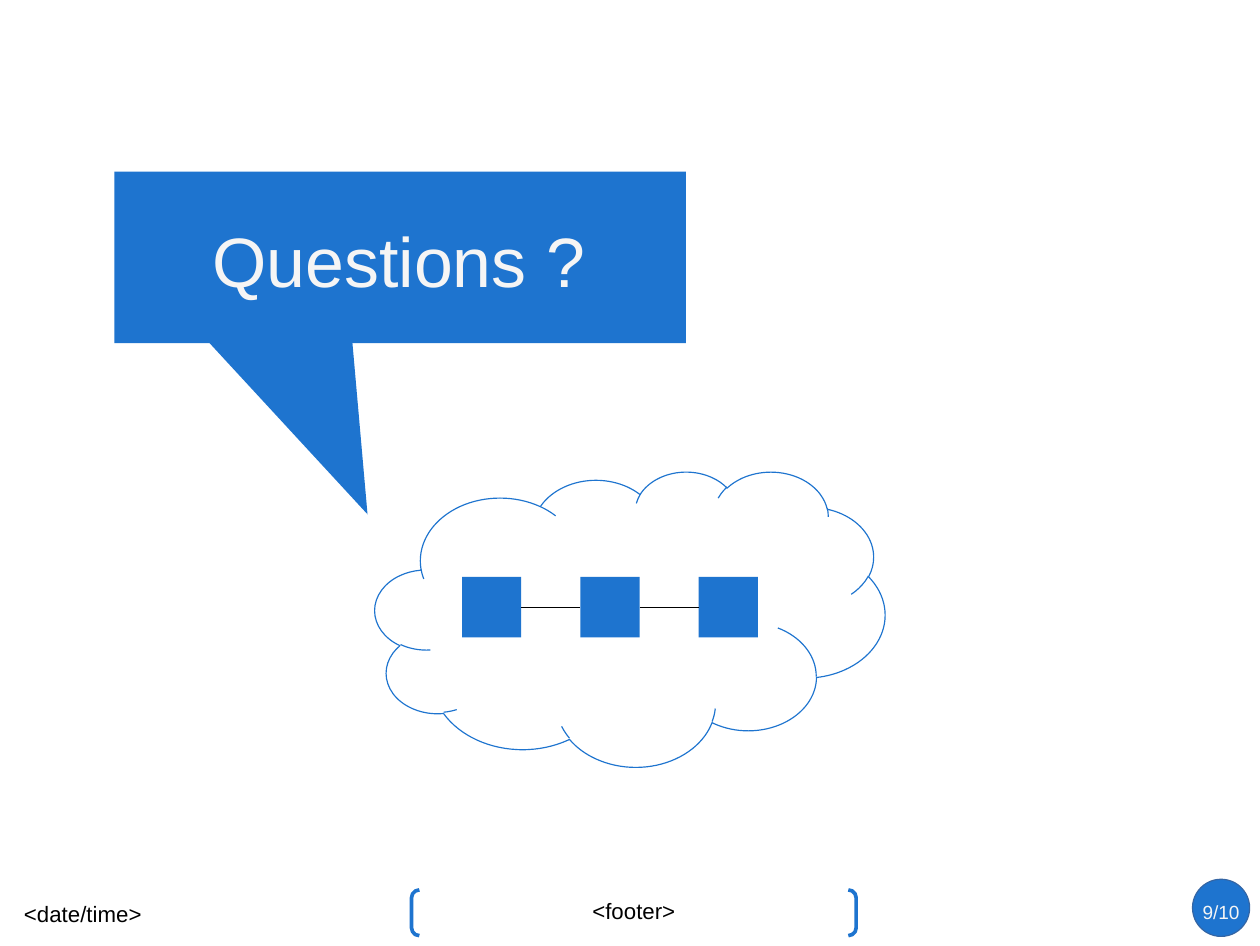
from pptx import Presentation
from pptx.dml.color import RGBColor
from pptx.enum.shapes import MSO_CONNECTOR as LINK, MSO_SHAPE as SHAPE
from pptx.enum.text import MSO_ANCHOR as ANCHOR, PP_ALIGN as ALIGN
from pptx.oxml.ns import qn
from pptx.util import Pt
from lxml import etree

BLUE, EDGE, BLACK, PALE = "1E74CF", "3465A4", "000000", "F5F5F5"
PAGE = (793.5, 595.5)

CALLOUT = (72, 108, 360, 108)
CALLOUT_TIP = (-0.057, 1.498)
PAGE_DOT = (751, 553.5, 36, 36)
FOOTER_BRACKETS = (259.2, 560.2, 280, 28.8)
CLOUD = (236.2, 296.6, 321.1, 185.8)

LABELS = [
    ("<footer>", (259.2, 560.2, 280, 26.6), 14, BLACK, ALIGN.CENTER),
    ("9/10", (743.8, 553.5, 50.4, 41), 12, PALE, ALIGN.CENTER),
    ("<date/time>", (15.1, 561.6, 123.8, 26.6), 14, BLACK, ALIGN.LEFT),
    ("Questions ?", (74.9, 115.2, 352.8, 96.5), 44, PALE, ALIGN.CENTER),
]

CHAIN_LENGTH = 3
CHAIN_LEFT, CHAIN_TOP = 291, 363.2
CHAIN_STEP = 74.5
NODE_SIZE = (37.3, 38)


def color(value):
    return RGBColor.from_string(value)


def lengths(values):
    return [Pt(value) for value in values]


def add_figure(kind, box, fill=None, line=None, width=0):
    figure = slide.shapes.add_shape(kind, *lengths(box))
    figure.shadow.inherit = False
    if fill:
        figure.fill.solid()
        figure.fill.fore_color.rgb = color(fill)
    else:
        figure.fill.background()
    if line:
        figure.line.color.rgb = color(line)
        figure.line.width = Pt(width)
    else:
        figure.line.fill.background()
    return figure


def add_label(text, box, size, ink, align):
    frame = slide.shapes.add_textbox(*lengths(box)).text_frame
    frame.word_wrap = True
    frame.vertical_anchor = ANCHOR.MIDDLE
    frame.margin_left = frame.margin_right = 0
    frame.margin_top = frame.margin_bottom = 0
    frame.text = text
    paragraph = frame.paragraphs[0]
    paragraph.alignment = align
    font = paragraph.runs[0].font
    font.name = "Arial"
    font.size = Pt(size)
    font.color.rgb = color(ink)


def link_nodes(start, end):
    link = slide.shapes.add_connector(LINK.STRAIGHT, 0, 0, 0, 0)
    link.begin_connect(start, 3)
    link.end_connect(end, 1)
    link.line.color.rgb = color(BLACK)
    link.line.width = Pt(0.79)
    etree.SubElement(link._element.spPr, qn("a:effectLst"))


deck = Presentation()
deck.slide_width, deck.slide_height = lengths(PAGE)
slide = deck.slides.add_slide(deck.slide_layouts[6])

callout = add_figure(SHAPE.RECTANGULAR_CALLOUT, CALLOUT, BLUE)
for index, offset in enumerate(CALLOUT_TIP):
    callout.adjustments[index] = offset

add_figure(SHAPE.OVAL, PAGE_DOT, BLUE, EDGE)
brackets = add_figure(SHAPE.DOUBLE_BRACKET, FOOTER_BRACKETS, line=BLUE, width=2.3)
brackets.adjustments[0] = 0.171

for label in LABELS:
    add_label(*label)

nodes = [
    add_figure(SHAPE.RECTANGLE, (CHAIN_LEFT + i * CHAIN_STEP, CHAIN_TOP, *NODE_SIZE), BLUE)
    for i in range(CHAIN_LENGTH)
]
add_figure(SHAPE.CLOUD, CLOUD, line=BLUE)
for start, end in zip(nodes, nodes[1:]):
    link_nodes(start, end)

deck.save("out.pptx")
